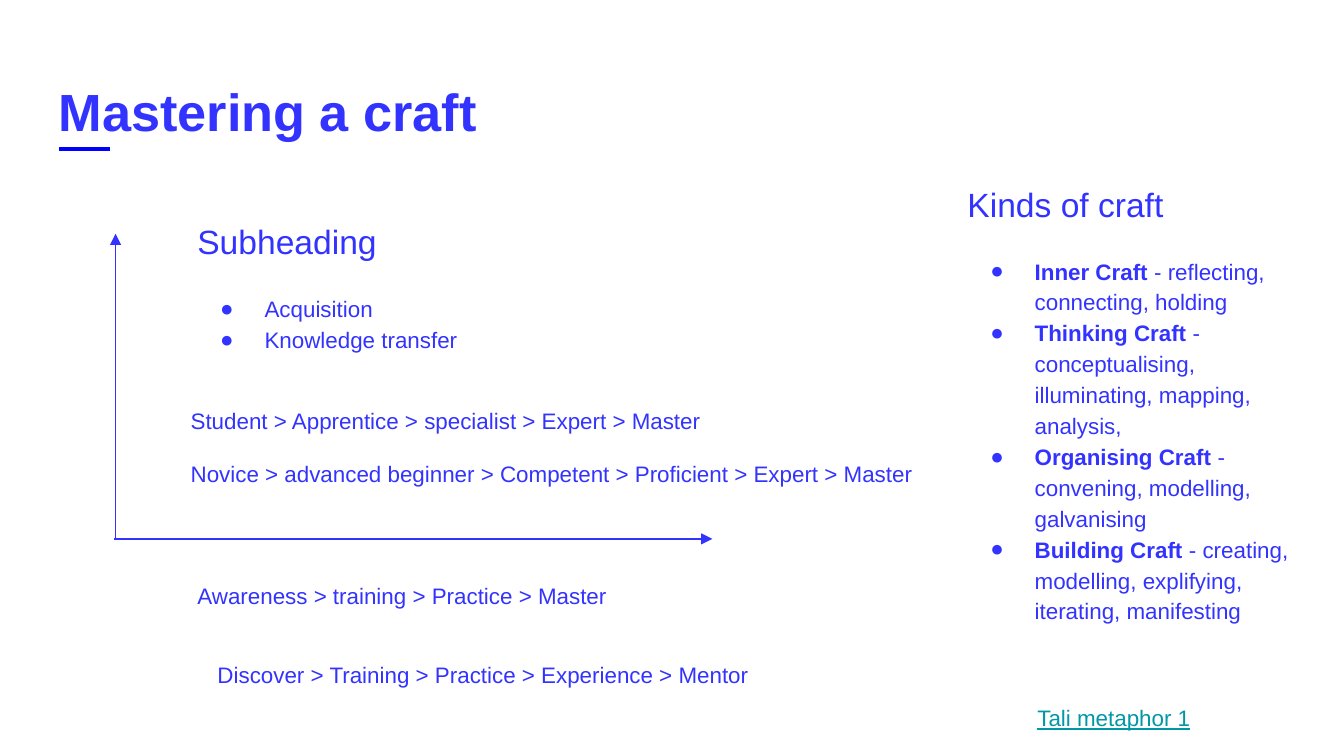
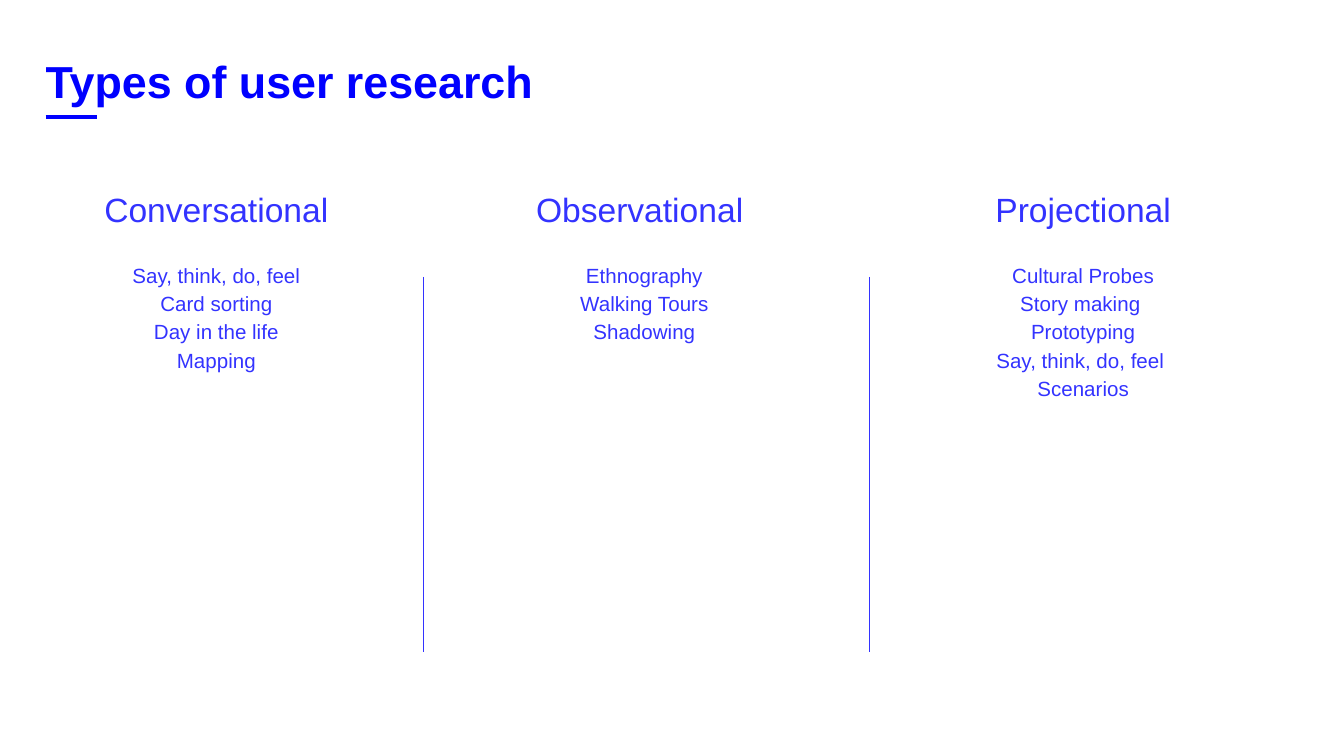
from pptx import Presentation
from pptx.dml.color import RGBColor
from pptx.enum.shapes import MSO_CONNECTOR as Conn
from pptx.enum.text import PP_ALIGN as Align
from pptx.oxml.ns import qn
from pptx.util import Inches, Pt
from lxml.etree import SubElement as Sub

INK = RGBColor(0x33, 0x33, 0xFF)
BLUE = RGBColor(0x00, 0x00, 0xFF)
TEAL = RGBColor(0x00, 0x97, 0xA7)
FONT = "Arial"


class Deck:
    def __init__(self):
        self.prs = Presentation()
        self.prs.slide_width = Inches(10)
        self.prs.slide_height = Inches(10) * 9 // 16
        self.slide = None

    def page(self):
        self.slide = self.prs.slides.add_slide(self.prs.slide_layouts[6])

    def box(self, x, y, w, h, inset=0.1):
        shape = self.slide.shapes.add_textbox(*map(Inches, (x, y, w, h)))
        frame = shape.text_frame
        frame.word_wrap = True
        frame.margin_left = frame.margin_right = Inches(inset)
        frame.margin_top = frame.margin_bottom = Inches(inset)
        return frame

    def style(self, para, size, color=INK, bold=False):
        for run in para.runs:
            font = run.font
            font.name, font.size, font.bold = FONT, Pt(size), bold
            font.color.rgb = color

    def line(self, x1, y1, x2, y2, color=INK, width=0.75, arrow=False):
        link = self.slide.shapes.add_connector(
            Conn.STRAIGHT, *map(Inches, (x1, y1, x2, y2)))
        link.line.color.rgb = color
        link.line.width = Pt(width)
        if arrow:
            edge = link._element.spPr.find(qn("a:ln"))
            Sub(edge, qn("a:tailEnd"), type="triangle")
        Sub(link._element.spPr, qn("a:effectLst"))

    def title(self, text, x, y, w, h, size, color, rule, inset):
        frame = self.box(x, y, w, h, inset)
        frame.text = text
        self.style(frame.paragraphs[0], size, color, True)
        # Short accent rule under the first letters
        left = x + inset
        self.line(left, rule, left + 0.38, rule, BLUE, 2.25)

    def note(self, text, x, y, w, color=INK):
        frame = self.box(x, y, w, 0.32)
        frame.text = text
        para = frame.paragraphs[0]
        para.line_spacing = 1.15
        self.style(para, 12, color)
        return para

    def bullet(self, para):
        props = para._p.get_or_add_pPr()
        props.set("marL", str(Inches(0.5)))
        props.set("indent", str(Inches(-0.33)))
        tint = Sub(props, qn("a:buClr"))
        Sub(tint, qn("a:srgbClr"), val=str(INK))
        Sub(props, qn("a:buSzPts"), val="1200")
        Sub(props, qn("a:buFont"), typeface=FONT)
        Sub(props, qn("a:buChar"), char="●")

    def body(self, head, items, x, y, w, h, size=12, center=False):
        """Heading over a list; an item is a text or a (bold, plain) pair."""
        frame = self.box(x, y, w, h)
        frame.text = head
        self.style(frame.paragraphs[0], 18)
        for i, item in enumerate(items):
            para = frame.add_paragraph()
            pair = isinstance(item, tuple)
            for part in item if pair else (item,):
                para.add_run().text = part
            self.style(para, size)
            para.runs[0].font.bold = pair
            if i == 0:
                para.space_before = Pt(16)
        for i, para in enumerate(frame.paragraphs):
            para.line_spacing = 1.15
            if center:
                para.alignment = Align.CENTER
            elif i:
                self.bullet(para)


def craft(deck):
    deck.page()
    deck.title("Mastering a craft", 0.34, 0.49, 4.64, 0.63, 28, INK, 1.11, 0.1)

    # Axes
    deck.line(0.86, 4.02, 0.86, 1.74, arrow=True)
    deck.line(0.85, 4.01, 5.3, 4.01, arrow=True)

    # Lists
    deck.body("Subheading", ["Acquisition", "Knowledge transfer"],
              1.37, 1.5, 2.79, 1.22)
    deck.body("Kinds of craft", [
        ("Inner Craft", " - reflecting, connecting, holding"),
        ("Thinking Craft",
         " - conceptualising, illuminating, mapping, analysis,"),
        ("Organising Craft", " - convening, modelling, galvanising"),
        ("Building Craft",
         " - creating, modelling, explifying, iterating, manifesting"),
    ], 7.1, 1.22, 2.79, 1.22)

    # Paths to mastery
    for steps, x, y, w in (
        ("Student > Apprentice > specialist > Expert > Master",
         1.32, 2.9, 6.71),
        ("Novice > advanced beginner > Competent > Proficient > Expert"
         " > Master", 1.32, 3.29, 6.71),
        ("Awareness > training > Practice > Master", 1.37, 4.2, 3.41),
        ("Discover > Training > Practice > Experience > Mentor",
         1.52, 4.79, 4.64),
    ):
        deck.note(steps, x, y, w)
    story = deck.note("Tali metaphor 1", 7.62, 5.11, 1.45, TEAL)
    story.runs[0].font.underline = True


def research(deck):
    deck.page()
    deck.title("Types of user research", 0.34, 0.4, 4.11, 0.52, 24, BLUE,
               0.87, 0)

    # Columns
    for head, items, x, w in (
        ("Conversational", ["Say, think, do, feel", "Card sorting",
                            "Day in the life", "Mapping"], 0.34, 2.54),
        ("Observational ", ["Ethnography", "Walking Tours", "Shadowing"],
         3.48, 2.63),
        ("Projectional", ["Cultural Probes", "Story making ", "Prototyping",
                          "Say, think, do, feel ", "Scenarios"], 6.71, 2.7),
    ):
        deck.body(head, items, x, 1.26, w, 3.84, 11, True)

    # Dividers
    for x in (3.15, 6.47):
        deck.line(x, 2.06, x, 4.85)


def main():
    deck = Deck()
    craft(deck)
    research(deck)
    deck.prs.save("out.pptx")


if __name__ == "__main__":
    main()
